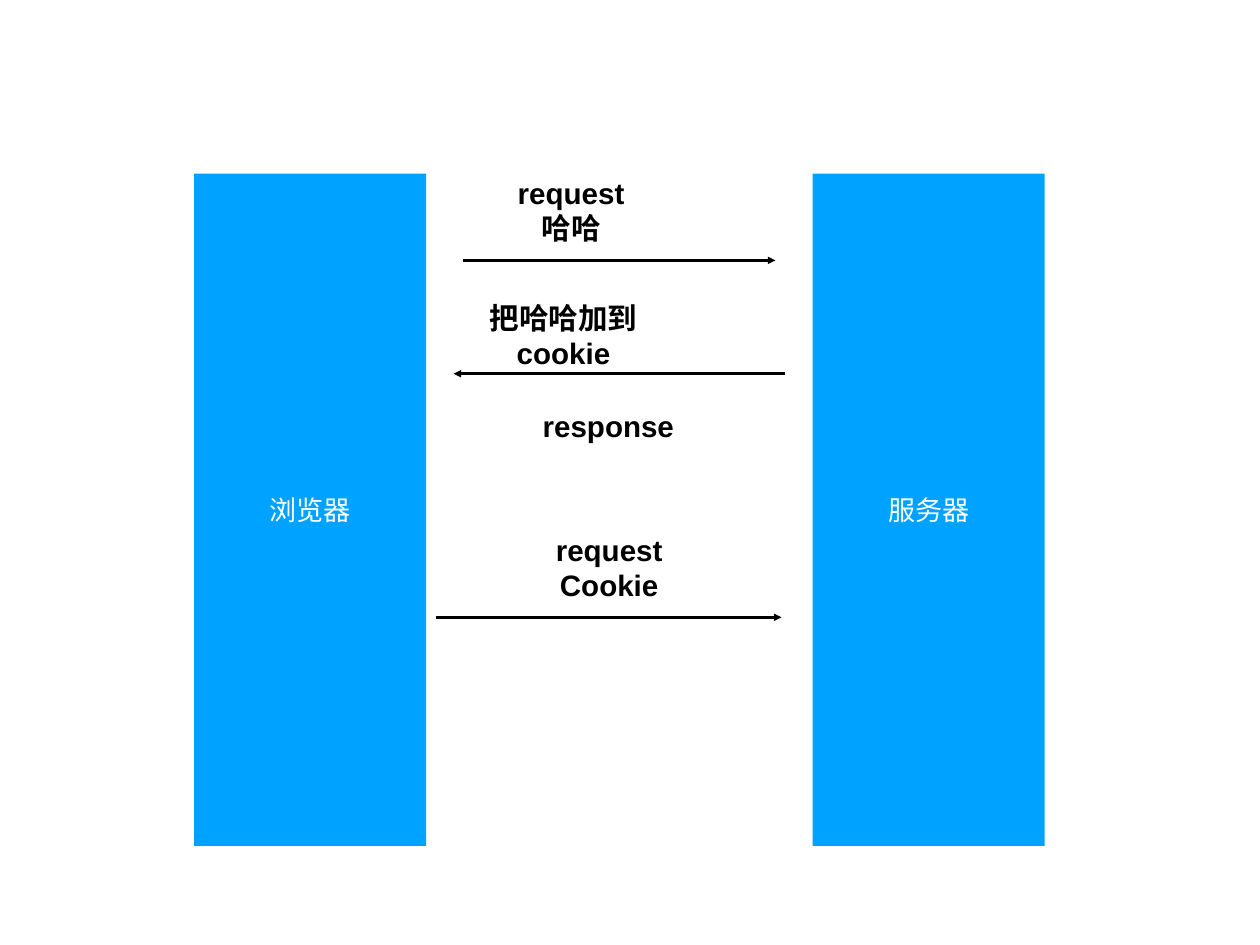
"""Sequence diagram of a cookie exchange between a browser and a server."""
import pptx
import pptx.dml.color
import pptx.enum.shapes
import pptx.enum.text
import pptx.oxml.ns
import pptx.util
from lxml import etree

PX = 9144


def color(value):
    return pptx.dml.color.RGBColor.from_string(value)


def write(shape, text, size=24, ink="000000", bold=True, wrap=False, right=6):
    frame = shape.text_frame
    frame.word_wrap = wrap
    frame.auto_size = pptx.enum.text.MSO_AUTO_SIZE.NONE
    frame.vertical_anchor = pptx.enum.text.MSO_ANCHOR.MIDDLE
    frame.margin_left = frame.margin_top = frame.margin_bottom = 6 * PX
    frame.margin_right = right * PX
    for index, line in enumerate(text.split("\n")):
        para = frame.paragraphs[0] if index == 0 else frame.add_paragraph()
        para.alignment = pptx.enum.text.PP_ALIGN.CENTER
        span = para.add_run()
        span.text = line
        span.font.name = "Arial"
        span.font.size = pptx.util.Pt(size)
        span.font.bold = bold
        span.font.color.rgb = color(ink)


deck = pptx.Presentation()
deck.slide_width = 1422 * PX
deck.slide_height = 1067 * PX
page = deck.slides.add_slide(deck.slide_layouts[6])

for left, name in [(219, "浏览器"), (917, "服务器")]:
    party = page.shapes.add_shape(
        pptx.enum.shapes.MSO_SHAPE.RECTANGLE, left * PX, 196 * PX, 262 * PX, 759 * PX)
    party.shadow.inherit = False
    party.fill.solid()
    party.fill.fore_color.rgb = color("00A2FF")
    party.line.fill.background()
    write(party, name, size=22, ink="FFFFFF", bold=False, wrap=True)

for start, end, height in [(523, 875, 294), (886, 512, 422), (492, 882, 697)]:
    arrow = page.shapes.add_connector(
        pptx.enum.shapes.MSO_CONNECTOR.STRAIGHT, start * PX, height * PX, end * PX, height * PX)
    arrow.line.width = pptx.util.Pt(2)
    arrow.line.color.rgb = color("000000")
    etree.SubElement(arrow.line._get_or_add_ln(), pptx.oxml.ns.qn("a:tailEnd"), type="triangle")
    etree.SubElement(arrow._element.spPr, pptx.oxml.ns.qn("a:effectLst"))

messages = [
    (578, 189, 133, 97, "request\n哈哈", {}),
    (607, 456, 159, 50, "response", {}),
    (621, 595, 133, 91, "request\nCookie", {}),
    (544, 350, 286, 57, "把哈哈加到cookie", {"wrap": True, "right": 108}),
]
for left, top, width, height, text, options in messages:
    box = page.shapes.add_textbox(left * PX, top * PX, width * PX, height * PX)
    write(box, text, **options)

deck.save("out.pptx")
